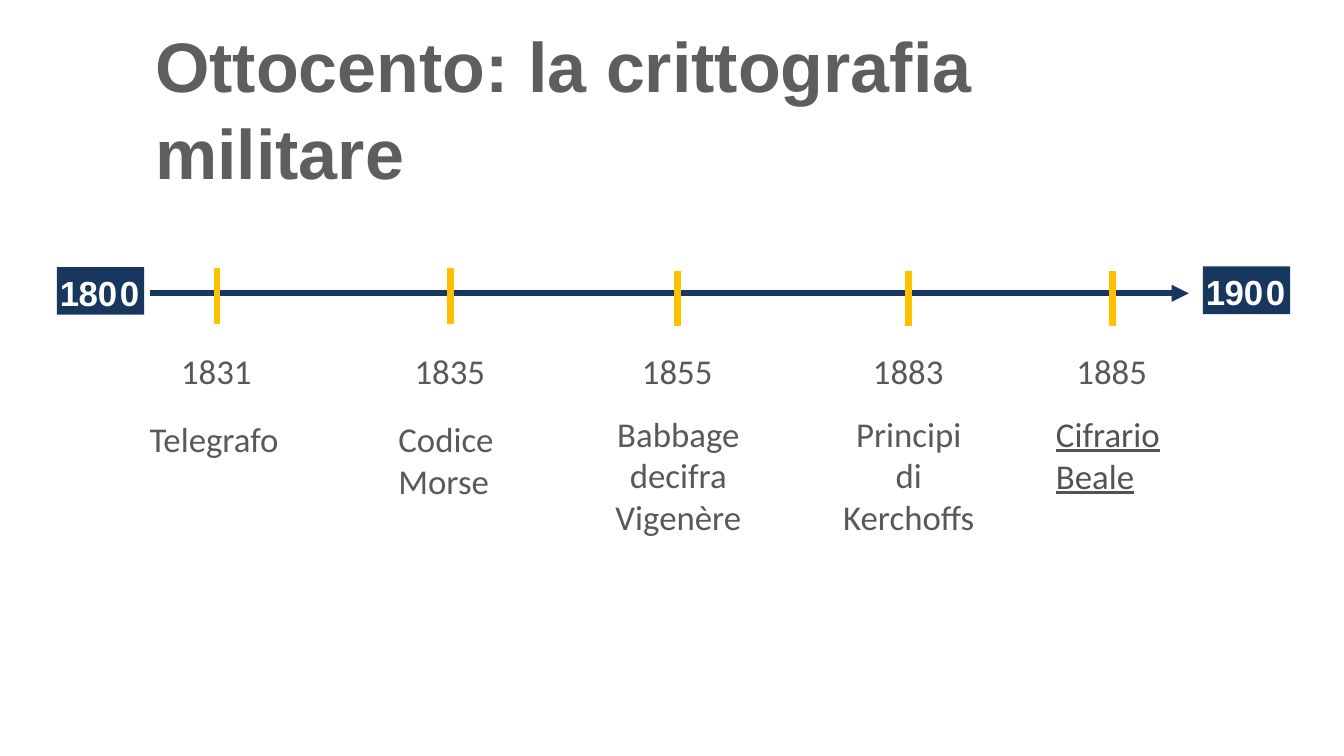
"""Build a timeline slide on military cryptography in the nineteenth century."""
from lxml.etree import SubElement
from pptx import Presentation
from pptx.dml.color import RGBColor
from pptx.enum.shapes import MSO_CONNECTOR, MSO_SHAPE
from pptx.enum.text import MSO_ANCHOR, PP_ALIGN
from pptx.oxml.ns import qn
from pptx.util import Pt

PX = 9144
NAVY, GOLD, GREY = "17375E", "FFC000", "595959"
LEFT, CENTER = PP_ALIGN.LEFT, PP_ALIGN.CENTER

TITLE = "Ottocento: la crittografia militare"
ENDS = [("18", "00", 93, 437), ("19", "00", 1968, 436)]
AXIS = (245, 1945, 480)
TICK_HEIGHT = 91
YEAR_TOP, YEAR_WIDTH, YEAR_HEIGHT = 568, 137, 79
EVENTS = [
    ("1831", 355, 439, "Telegrafo", (235, 679, 242, 79), {}),
    ("1835", 737, 439, "Codice Morse", (642, 679, 189, 148), {}),
    ("1855", 1109, 443, "Babbage decifra Vigenère", (989, 670, 242, 217), {"align": CENTER}),
    ("1883", 1487, 443, "Principi di Kerchoffs", (1366, 670, 242, 217), {"align": CENTER}),
    ("1885", 1820, 443, "Cifrario Beale", (1718, 670, 204, 148),
     {"color": "535353", "underline": True}),
]


def emu(*lengths):
    return [round(length * PX) for length in lengths]


def rgb(color):
    return RGBColor.from_string(color)


def write(shape, *pieces, size=41, font="Calibri", color=GREY, bold=False, underline=None,
          align=LEFT, anchor=MSO_ANCHOR.TOP, insets=(10, 5, 10, 5), tracking=(), spacing=None):
    frame = shape.text_frame
    frame.word_wrap = True
    frame.vertical_anchor = anchor
    frame.margin_left, frame.margin_top, frame.margin_right, frame.margin_bottom = emu(*insets)
    paragraph = frame.paragraphs[0]
    paragraph.alignment = align
    paragraph.line_spacing = spacing
    for index, piece in enumerate(pieces):
        run = paragraph.add_run()
        run.text = piece
        run.font.size, run.font.name = Pt(size), font
        run.font.bold, run.font.underline = bold, underline
        run.font.color.rgb = rgb(color)
        if tracking:
            run._r.get_or_add_rPr().set("spc", str(tracking[index]))


def add_text(slide, box, text, **style):
    write(slide.shapes.add_textbox(*emu(*box)), text, **style)


def add_line(slide, start, end, color, width, arrow=False):
    line = slide.shapes.add_connector(MSO_CONNECTOR.STRAIGHT, *emu(*start, *end))
    line.line.color.rgb = rgb(color)
    line.line.width = Pt(width)
    if arrow:
        SubElement(line.line._get_or_add_ln(), qn("a:tailEnd"), type="triangle")
    SubElement(line._element.spPr, qn("a:effectLst"))


def add_end(slide, century, rest, left, top):
    shape = slide.shapes.add_shape(MSO_SHAPE.RECTANGLE, *emu(left, top, 143, 78))
    shape.shadow.inherit = False
    shape.fill.solid()
    shape.fill.fore_color.rgb = rgb(NAVY)
    shape.line.fill.background()
    write(shape, century, rest, font="Arial", color="FFFFFF", bold=True,
          anchor=MSO_ANCHOR.MIDDLE, insets=(5, 4, 0, 0), tracking=(-80, 300))


def main():
    presentation = Presentation()
    presentation.slide_width, presentation.slide_height = emu(2199, 1237)
    slide = presentation.slides.add_slide(presentation.slide_layouts[6])

    add_text(slide, (254, 30, 1690, 140), TITLE, size=82.5, font="Arial", color="5E5E5E",
             bold=True, insets=(0, 1, 0, 0), spacing=1.04)
    start, end, axis_y = AXIS
    add_line(slide, (start, axis_y), (end, axis_y), NAVY, 6.75, arrow=True)
    for year, x, tick_top, label, box, style in EVENTS:
        add_line(slide, (x, tick_top), (x, tick_top + TICK_HEIGHT), GOLD, 8)
        add_text(slide, (x - YEAR_WIDTH / 2, YEAR_TOP, YEAR_WIDTH, YEAR_HEIGHT), year)
        add_text(slide, box, label, **style)
    for century_end in ENDS:
        add_end(slide, *century_end)

    presentation.save("out.pptx")


if __name__ == "__main__":
    main()
